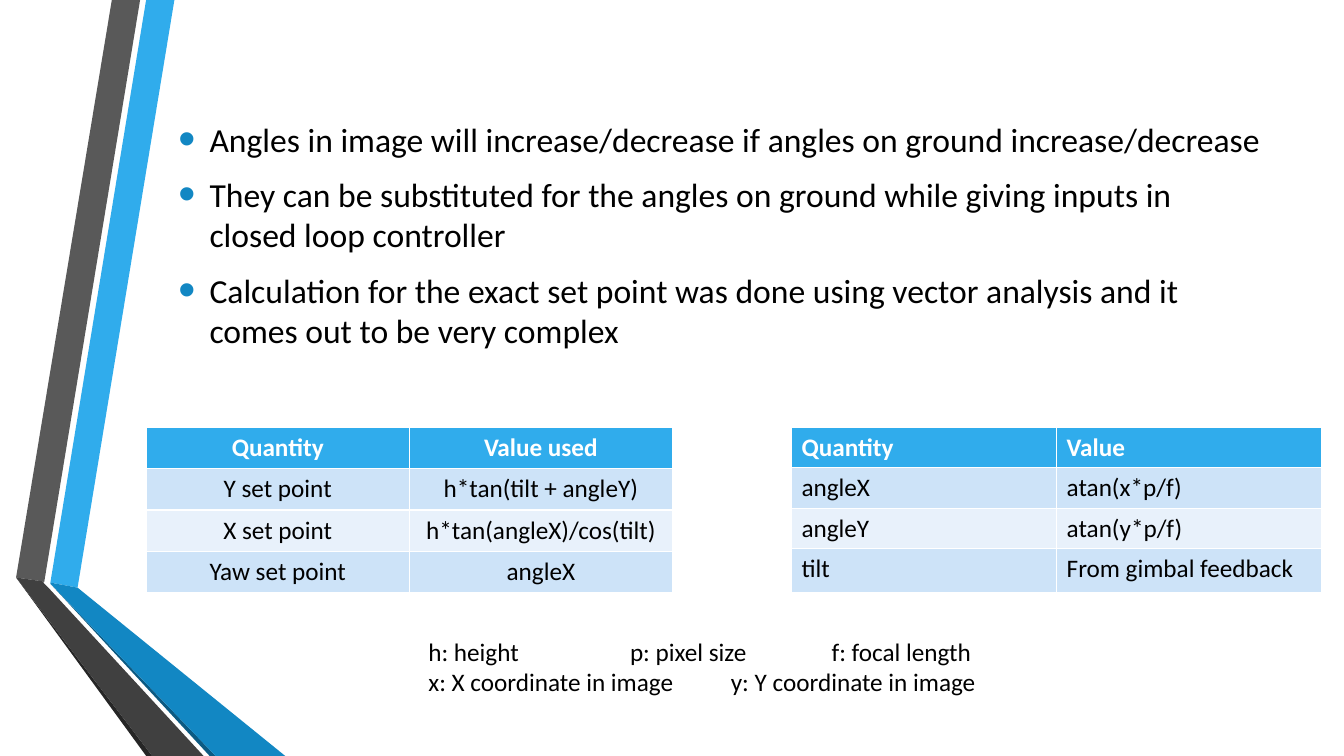
from lxml import etree
from pptx import Presentation, util as u
from pptx.dml.color import RGBColor
from pptx.enum import text
from pptx.oxml import ns

BLACK = RGBColor(0x00, 0x00, 0x00)
WHITE = RGBColor(0xFF, 0xFF, 0xFF)
SKY = RGBColor(0x30, 0xAC, 0xEC)
OCEAN = RGBColor(0x12, 0x87, 0xC3)
NAVY = RGBColor(0x0C, 0x5A, 0x82)
GREY = RGBColor(0x59, 0x59, 0x59)
CHARCOAL = RGBColor(0x40, 0x40, 0x40)
SOOT = RGBColor(0x26, 0x26, 0x26)
BANDS = [RGBColor(0xCD, 0xE3, 0xF8), RGBColor(0xE8, 0xF1, 0xFB)]

GRID = 100
RIBBONS = [
    (SKY, [(50, 578), (77, 583), (173, 0), (145, 0)]),
    (GREY, [(139, 0), (111, 0), (16, 573), (44, 577)]),
    (SOOT, [(16, 573), (145, 750), (151, 750)]),
    (NAVY, [(50, 579), (208, 750), (214, 750)]),
    (OCEAN, [(50, 579), (214, 750), (283, 750), (77, 583), (50, 578)]),
    (CHARCOAL, [(202, 750), (48, 583), (43, 578), (44, 577), (16, 573), (151, 750)]),
]

FINDINGS = [
    "Angles in image will increase/decrease if angles on ground increase/decrease",
    "They can be substituted for the angles on ground while giving inputs in closed loop controller",
    "Calculation for the exact set point was done using vector analysis and it comes out to be very complex",
]

TABLES = [
    {
        "left": 1.45, "column": 2.61, "heights": [0.41] * 4,
        "align": text.PP_ALIGN.CENTER,
        "rows": [
            ("Quantity", "Value used"),
            ("Y set point", "h*tan(tilt + angleY)"),
            ("X set point", "h*tan(angleX)/cos(tilt)"),
            ("Yaw set point", "angleX"),
        ],
    },
    {
        "left": 7.85, "column": 2.63, "heights": [0.31] * 3 + [0.44],
        "align": text.PP_ALIGN.LEFT,
        "rows": [
            ("Quantity", "Value"),
            ("angleX", "atan(x*p/f)"),
            ("angleY", "atan(y*p/f)"),
            ("tilt", "From gimbal feedback"),
        ],
    },
]
TABLE_TOP = 4.24

LEGEND = [
    (["h: height", "p: pixel size", "f: focal length"], [2, 4]),
    (["x: X coordinate in image", "y: Y coordinate in image"], [3]),
]


def write(paragraph, words, size, color=BLACK, bold=False):
    run = paragraph.add_run()
    run.text = words
    for key, value in {"name": "Calibri", "size": u.Pt(size), "bold": bold}.items():
        setattr(run.font, key, value)
    run.font.color.rgb = color


def add_text(slide, left, top, width, height):
    frame = slide.shapes.add_textbox(*map(u.Inches, (left, top, width, height))).text_frame
    frame.word_wrap = True
    return frame


def paragraphs(frame, items):
    for index, item in enumerate(items):
        yield (frame.add_paragraph() if index else frame.paragraphs[0]), item


def child(parent, tag, **attributes):
    return etree.SubElement(parent, ns.qn(tag), attributes)


def add_ribbon(slide, color, points):
    builder = slide.shapes.build_freeform(*points[0], scale=u.Inches(1) / GRID)
    builder.add_line_segments(points[1:], close=True)
    ribbon = builder.convert_to_shape()
    ribbon.shadow.inherit = False
    ribbon.fill.solid()
    ribbon.fill.fore_color.rgb = color
    ribbon.line.fill.background()


def add_findings(slide):
    frame = add_text(slide, 1.67, 0.82, 10.96, 3.42)
    frame.vertical_anchor = text.MSO_ANCHOR.MIDDLE
    frame.margin_bottom = u.Inches(0.46)
    for paragraph, finding in paragraphs(frame, FINDINGS):
        write(paragraph, finding, 24)
        paragraph.space_before, paragraph.space_after = u.Pt(4.8), u.Pt(6)
        properties = paragraph._p.get_or_add_pPr()
        indent = u.Inches(0.31)
        properties.set("marL", str(indent))
        properties.set("indent", str(-indent))
        child(child(properties, "a:buClr"), "a:srgbClr", val=str(OCEAN))
        child(properties, "a:buSzPct", val="145000")
        child(properties, "a:buFont", typeface="Arial")
        child(properties, "a:buChar", char="•")


def add_quantities(slide, left, column, heights, align, rows):
    columns = len(rows[0])
    box = map(u.Inches, (left, TABLE_TOP, column * columns, sum(heights)))
    table = slide.shapes.add_table(len(rows), columns, *box).table
    for table_column in table.columns:
        table_column.width = u.Inches(column)
    for r, (values, height) in enumerate(zip(rows, heights)):
        table.rows[r].height = u.Inches(height)
        header = r == 0
        for c, value in enumerate(values):
            cell = table.cell(r, c)
            cell.fill.solid()
            cell.fill.fore_color.rgb = SKY if header else BANDS[(r - 1) % len(BANDS)]
            paragraph = cell.text_frame.paragraphs[0]
            paragraph.alignment = align
            write(paragraph, value, 18, WHITE if header else BLACK, header)


def add_legend(slide):
    frame = add_text(slide, 4.15, 6.26, 5.69, 0.71)
    for paragraph, (terms, stops) in paragraphs(frame, LEGEND):
        write(paragraph, "\t".join(terms), 18)
        tabs = child(paragraph._p.get_or_add_pPr(), "a:tabLst")
        for stop in stops:
            child(tabs, "a:tab", pos=str(u.Inches(stop)), algn="l")


def main():
    deck = Presentation()
    deck.slide_width, deck.slide_height = u.Inches(13.33), u.Inches(7.5)
    slide = deck.slides.add_slide(deck.slide_layouts[6])
    for color, points in RIBBONS:
        add_ribbon(slide, color, points)
    add_findings(slide)
    for quantities in TABLES:
        add_quantities(slide, **quantities)
    add_legend(slide)
    deck.save("out.pptx")


if __name__ == "__main__":
    main()
